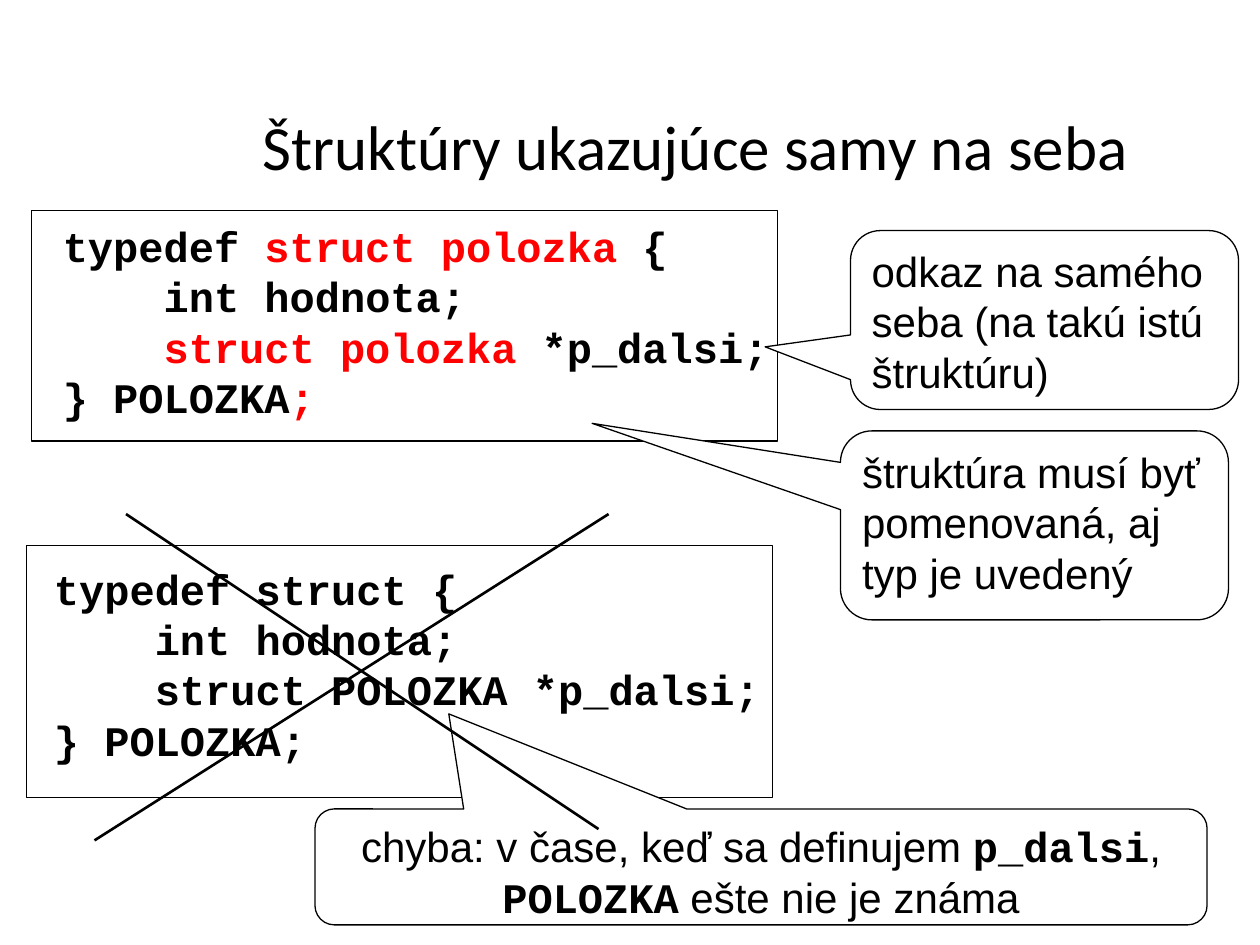
"""Build a slide on self-referential structures in C."""
import pptx
import pptx.dml.color
import pptx.enum.shapes
import pptx.enum.text
import pptx.oxml.ns
import pptx.util
from lxml import etree
from pptx.util import Inches

BLACK = pptx.dml.color.RGBColor(0, 0, 0)
WHITE = pptx.dml.color.RGBColor(255, 255, 255)
RED = pptx.dml.color.RGBColor(255, 0, 0)
CODE, PROSE, HEADING = "Courier New", "Arial", "Calibri"
LEFT = pptx.enum.text.PP_ALIGN.LEFT
CENTER = pptx.enum.text.PP_ALIGN.CENTER
SHAPES = pptx.enum.shapes.MSO_SHAPE


def add_run(paragraph, text, font, size=24, color=BLACK):
    """Append one formatted run; code is always bold."""
    run = paragraph.add_run()
    run.text = text
    run.font.name = font
    run.font.size = pptx.util.Pt(size)
    run.font.bold = font == CODE
    run.font.color.rgb = color


def add_outlined(container, preset, box):
    """Add a white shape with a thin black outline."""
    shape = container.add_shape(preset, *map(Inches, box))
    shape.shadow.inherit = False
    shape.fill.solid()
    shape.fill.fore_color.rgb = WHITE
    shape.line.color.rgb = BLACK
    shape.line.width = pptx.util.Pt(0.75)
    return shape


def add_title(slide, text):
    """Add the centred slide title."""
    title = slide.shapes.add_textbox(*map(Inches, (1.26, 0.68, 8.52, 0.95)))
    frame = title.text_frame
    frame.word_wrap = True
    frame.vertical_anchor = pptx.enum.text.MSO_ANCHOR.MIDDLE
    frame.paragraphs[0].alignment = CENTER
    add_run(frame.paragraphs[0], text, HEADING, size=36)


def add_code(container, frame_box, text_box, lines):
    """Add a framed listing whose lines are lists of (text, color) pairs."""
    add_outlined(container, SHAPES.RECTANGLE, frame_box)
    listing = container.add_textbox(*map(Inches, text_box)).text_frame
    listing.word_wrap = False
    listing.auto_size = pptx.enum.text.MSO_AUTO_SIZE.SHAPE_TO_FIT_TEXT
    for index, line in enumerate(lines):
        paragraph = listing.add_paragraph() if index else listing.paragraphs[0]
        for text, color in line:
            add_run(paragraph, text, CODE, color=color)


def add_callout(slide, box, pointer, runs, alignment=LEFT):
    """Add a rounded callout with its tip at the relative pointer offset."""
    callout = add_outlined(slide.shapes, SHAPES.ROUNDED_RECTANGULAR_CALLOUT, box)
    callout.adjustments[0], callout.adjustments[1] = pointer
    frame = callout.text_frame
    frame.word_wrap = True
    frame.vertical_anchor = pptx.enum.text.MSO_ANCHOR.TOP
    frame.paragraphs[0].alignment = alignment
    for text, font in runs:
        add_run(frame.paragraphs[0], text, font)


def add_stroke(container, start, end):
    """Add one straight stroke of the cross."""
    stroke = container.add_connector(
        pptx.enum.shapes.MSO_CONNECTOR.STRAIGHT, *map(Inches, start + end))
    stroke.line.color.rgb = BLACK
    stroke.line.width = pptx.util.Pt(1.5)
    etree.SubElement(stroke._element.spPr, pptx.oxml.ns.qn("a:effectLst"))


def main():
    """Build and save the slide."""
    deck = pptx.Presentation()
    deck.slide_width, deck.slide_height = Inches(10), Inches(7.5)
    slide = deck.slides.add_slide(deck.slide_layouts[6])

    add_title(slide, "Štruktúry ukazujúce samy na seba")
    add_code(slide.shapes, (0.25, 1.67, 5.92, 1.83), (0.4, 1.7, 5.8, 1.7), [
        [("typedef ", BLACK), ("struct polozka", RED), (" {", BLACK)],
        [("    int hodnota;", BLACK)],
        [("    ", BLACK), ("struct polozka", RED), (" *p_dalsi;", BLACK)],
        [("} POLOZKA", BLACK), (";", RED)],
    ])
    wrong_code = slide.shapes.add_group_shape().shapes
    add_code(wrong_code, (0.21, 4.33, 5.92, 2), (0.33, 4.42, 5.8, 1.7), [
        [("typedef struct {", BLACK)],
        [("    int hodnota;", BLACK)],
        [("    struct POLOZKA *p_dalsi;", BLACK)],
        [("} POLOZKA;", BLACK)],
    ])

    add_callout(slide, (6.75, 1.83, 3.08, 1.42), (-0.72, 0.15),
                [("odkaz na samého seba (na takú istú štruktúru)", PROSE)])
    add_callout(slide, (6.67, 3.42, 3.08, 1.5), (-1.14, -0.54),
                [("štruktúra musí byť pomenovaná, aj typ je uvedený", PROSE)])
    add_callout(slide, (2.5, 6.42, 7.08, 0.92), (-0.35, -1.32), [
        ("chyba: v čase, keď sa definujem ", PROSE),
        ("p_dalsi", CODE),
        (", ", PROSE),
        ("POLOZKA", CODE),
        (" ešte nie je známa", PROSE),
    ], CENTER)

    cross = slide.shapes.add_group_shape().shapes
    add_stroke(cross, (1, 4.08), (4.75, 6.58))
    add_stroke(cross, (4.83, 4.08), (0.75, 6.67))
    deck.save("out.pptx")


if __name__ == "__main__":
    main()
